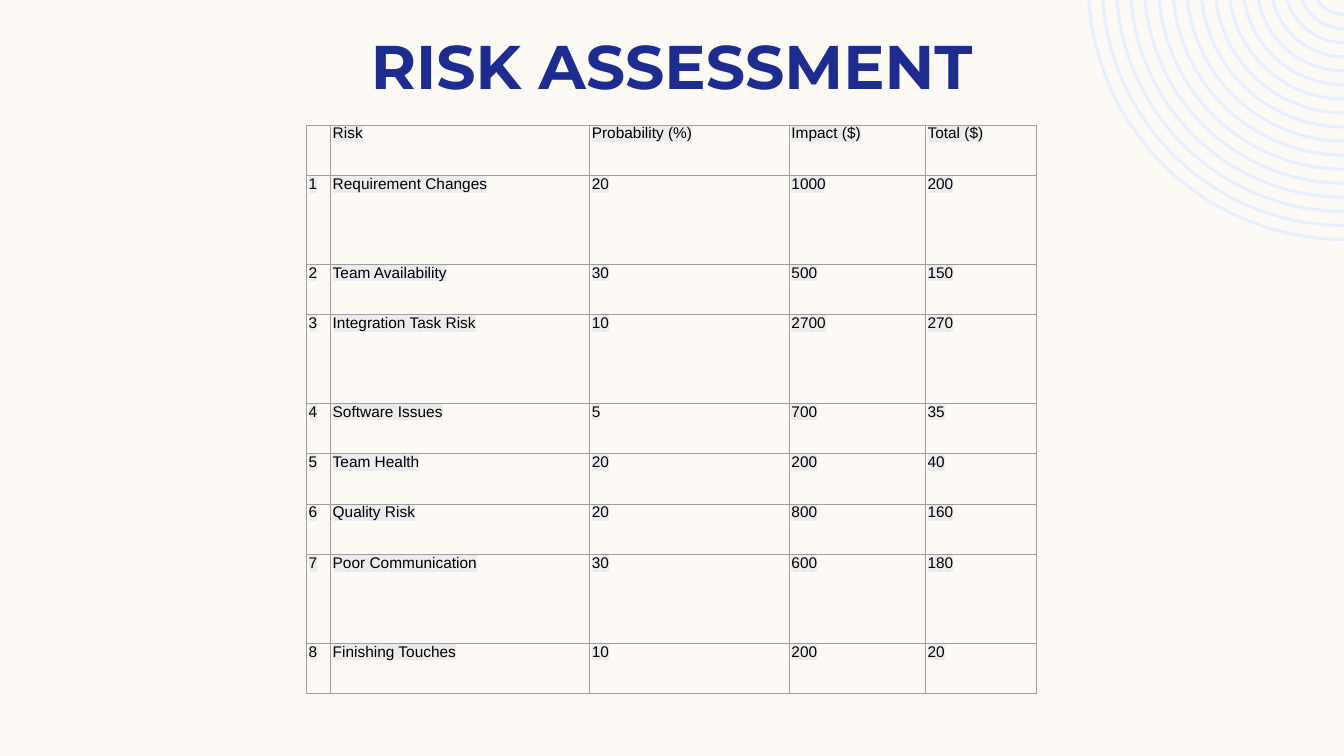
from math import asin, degrees, sqrt
from lxml import etree
from pptx import Presentation
from pptx.dml.color import RGBColor
from pptx.enum import text as tx
from pptx.oxml import ns
from pptx.util import Inches, Pt

# Content
TITLE = "RISK ASSESSMENT"
ROWS = [
    ("", "Risk", "Probability (%)", "Impact ($)", "Total ($)"),
    ("1", "Requirement Changes", "20", "1000", "200"),
    ("2", "Team Availability", "30", "500", "150"),
    ("3", "Integration Task Risk", "10", "2700", "270"),
    ("4", "Software Issues", "5", "700", "35"),
    ("5", "Team Health", "20", "200", "40"),
    ("6", "Quality Risk", "20", "800", "160"),
    ("7", "Poor Communication", "30", "600", "180"),
    ("8", "Finishing Touches", "10", "200", "20"),
]
WIDTHS = [0.24, 2.57, 1.98, 1.35, 1.1]
TALL, HIGH, LOW = {1, 3, 7}, 0.88, 0.5  # row heights
TIGHT = {0, 1, 5}  # rows with less space above the text
HEAD = dict(name="Montserrat", size=Pt(44), bold=True)
BODY = dict(name="Arial", size=Pt(11), bold=False)
RIGHT, RISE = 13.33, 0.16  # ring centre: right edge, above the top
FIRST, LAST, BAND, COUNT = 0.32, 2.55, 0.03, 17


def color(code):
    return RGBColor.from_string(code)


def style(font, form, code):
    for key, val in form.items():
        setattr(font, key, val)
    font.color.rgb = color(code)


def node(base, tag, **attrs):
    return etree.SubElement(base, ns.qn(tag), **attrs)


def solid(base, tag, code):
    node(node(base, tag), "a:srgbClr", val=code)


def ends(rad):
    """Where a ring meets the top and the right edge of the slide."""
    left = RIGHT - sqrt(rad ** 2 - RISE ** 2)
    return [(Inches(left), 0), (Inches(RIGHT), Inches(rad - RISE))]


def bend(line, rad, back):
    """Turn a straight step into an arc."""
    start = 180 - degrees(asin(RISE / rad))
    first, last = (90, start) if back else (start, 90)
    arc = etree.Element(
        ns.qn("a:arcTo"), wR=str(Inches(rad)), hR=str(Inches(rad)),
        stAng=str(round(first * 60000)),
        swAng=str(round((last - first) * 60000)))
    line.getparent().replace(line, arc)


def border(cell, code, width):
    props = cell._tc.get_or_add_tcPr()
    for i, side in enumerate(("a:lnL", "a:lnR", "a:lnT", "a:lnB")):
        line = node(props, side, w=str(Pt(width)))
        solid(line, "a:solidFill", code)
        props.insert(i, line)


def shade(run, code):
    props = run._r.get_or_add_rPr()
    solid(props, "a:highlight", code)
    props.find(ns.qn("a:solidFill")).addnext(props[-1])


prs = Presentation()
prs.slide_width, prs.slide_height = Inches(13.33), Inches(7.5)
slide = prs.slides.add_slide(prs.slide_layouts[6])
slide.background.fill.solid()
slide.background.fill.fore_color.rgb = color("FDFAF6")

# Corner rings: one outline with evenly spaced bands
step = (LAST - FIRST) / (COUNT - 1)
radii = [FIRST + i * step for i in range(COUNT)]
pen = slide.shapes.build_freeform(*ends(radii[0])[0])
for i, rad in enumerate(radii):
    pts = ends(rad) + ends(rad - BAND)[::-1]
    if i:
        pen.move_to(*pts[0])
    pen.add_line_segments(pts[1:], close=True)
rings = pen.convert_to_shape()
lines = list(rings._element.iter(ns.qn("a:lnTo")))
for i, rad in enumerate(radii):
    bend(lines[3 * i], rad, False)
    bend(lines[3 * i + 2], rad - BAND, True)
rings.shadow.inherit = False
rings.fill.solid()
rings.fill.fore_color.rgb = color("E6F0FE")
rings.line.fill.background()

# Title
box = slide.shapes.add_textbox(*map(Inches, (0.83, 0.23, 11.67, 0.84)))
box.text_frame.word_wrap = True
para = box.text_frame.paragraphs[0]
para.alignment = tx.PP_ALIGN.CENTER
run = para.add_run()
run.text = TITLE
style(run.font, HEAD, "1F2C8F")

# Table
highs = [HIGH if r in TALL else LOW for r in range(len(ROWS))]
size = (3.04, 1.24, sum(WIDTHS), sum(highs))
table = slide.shapes.add_table(
    len(ROWS), len(WIDTHS), *map(Inches, size)).table
table.first_row = table.horz_banding = False
for col, wide in zip(table.columns, WIDTHS):
    col.width = Inches(wide)
for r, (words, high) in enumerate(zip(ROWS, highs)):
    table.rows[r].height = Inches(high)
    for c, word in enumerate(words):
        cell = table.cell(r, c)
        for side in ("left", "right", "top", "bottom"):
            setattr(cell, "margin_" + side, 0)
        cell.fill.background()
        border(cell, "9E9E9E", 0.75)
        para = cell.text_frame.paragraphs[0]
        para.space_before = Pt(1.1 if r in TIGHT else 1.2)
        para._p.get_or_add_pPr().set("marL", str(Inches(0.02)))
        if word:
            run = para.add_run()
            run.text = word
            style(run.font, BODY, "000000")
            shade(run, "ECECEC")

prs.save("out.pptx")
